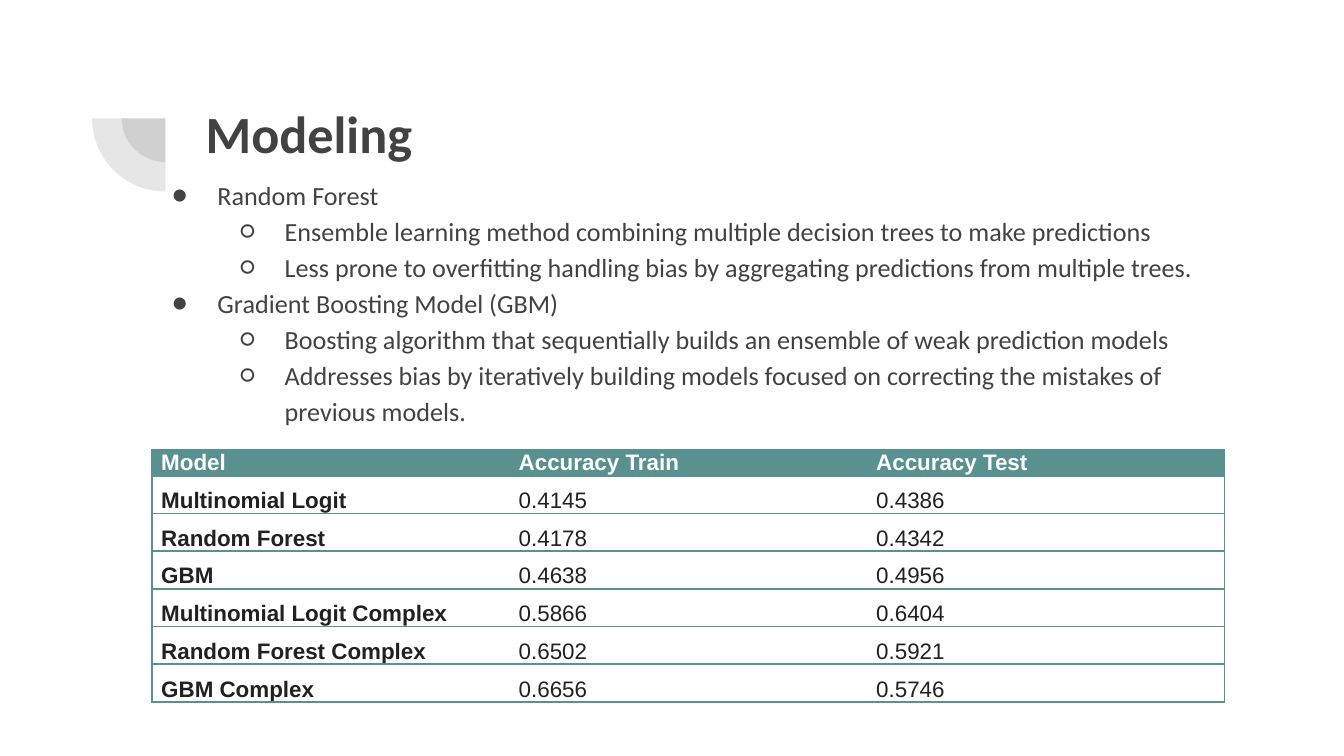
import pptx
import pptx.dml.color
import pptx.enum.shapes
import pptx.enum.text
import pptx.oxml.ns
import pptx.util
from lxml import etree

Inches = pptx.util.Inches
Pt = pptx.util.Pt

GREY, TEAL, WHITE, BLACK = "424242", "599191", "FFFFFF", "212121"

TITLE = "Modeling"
BULLETS = [
    (0, "Random Forest"),
    (1, "Ensemble learning method combining multiple decision trees to make predictions"),
    (1, "Less prone to overfitting handling bias by aggregating predictions from multiple trees."),
    (0, "Gradient Boosting Model (GBM)"),
    (1, "Boosting algorithm that sequentially builds an ensemble of weak prediction models"),
    (1, "Addresses bias by iteratively building models focused on correcting the mistakes of previous models."),
]
BULLET_STYLES = [("●", 0.5, 0.34), ("○", 1, 0.33)]
ACCURACY = [
    ("Model", "Accuracy Train", "Accuracy Test"),
    ("Multinomial Logit", "0.4145", "0.4386"),
    ("Random Forest", "0.4178", "0.4342"),
    ("GBM", "0.4638", "0.4956"),
    ("Multinomial Logit Complex", "0.5866", "0.6404"),
    ("Random Forest Complex", "0.6502", "0.5921"),
    ("GBM Complex", "0.6656", "0.5746"),
]
SLIDE_WIDTH = 10
SLIDE_HEIGHT = SLIDE_WIDTH * 9 / 16
HEADER_HEIGHT, ROW_HEIGHT, COLUMN_WIDTH = 0.19, 0.28, 2.66
PIE_CENTER = (1.23, 0.88)
PIE_DIAMETERS = [0.65, 1.09]


def set_values(target, values):
    for name, value in values.items():
        setattr(target, name, value)


def color(hex_value):
    return pptx.dml.color.RGBColor.from_string(hex_value)


def add_element(parent, tag, **attributes):
    element = etree.SubElement(parent, pptx.oxml.ns.qn(tag))
    for name, value in attributes.items():
        element.set(name, str(value))
    return element


def write_run(paragraph, text, font_name, size, hex_value, bold=False):
    run = paragraph.add_run()
    run.text = text
    set_values(run.font, {"name": font_name, "size": Pt(size), "bold": bold})
    run.font.color.rgb = color(hex_value)


def format_frame(frame):
    margins = ("margin_left", "margin_top", "margin_right", "margin_bottom")
    set_values(frame, dict.fromkeys(margins, Inches(0.1)))
    set_values(frame, {
        "word_wrap": True,
        "auto_size": pptx.enum.text.MSO_AUTO_SIZE.NONE,
        "vertical_anchor": pptx.enum.text.MSO_ANCHOR.TOP,
    })


def add_pie(slide, diameter):
    left, top = (Inches(center - diameter / 2) for center in PIE_CENTER)
    pie = slide.shapes.add_shape(
        pptx.enum.shapes.MSO_SHAPE.PIE, left, top, Inches(diameter), Inches(diameter))
    pie.adjustments[0], pie.adjustments[1] = 108, 162
    pie.rotation = 270
    pie.shadow.inherit = False
    pie.line.fill.background()
    pie.fill.solid()
    pie.fill.fore_color.rgb = color(GREY)
    shade = pie.element.spPr.find(".//" + pptx.oxml.ns.qn("a:srgbClr"))
    add_element(shade, "a:alpha", val=13000)


def add_title(slide):
    title = slide.shapes.title
    set_values(title, {"left": Inches(1.43), "top": Inches(0.65),
                       "width": Inches(7.69), "height": Inches(1.09)})
    format_frame(title.text_frame)
    paragraph = title.text_frame.paragraphs[0]
    paragraph.alignment = pptx.enum.text.PP_ALIGN.LEFT
    write_run(paragraph, TITLE, "Calibri", 28, GREY, True)


def add_bullets(slide):
    box = slide.shapes.add_textbox(Inches(1.02), Inches(1.2), Inches(8.44), Inches(2.03))
    format_frame(box.text_frame)
    for index, (level, text) in enumerate(BULLETS):
        paragraph = box.text_frame.add_paragraph() if index else box.text_frame.paragraphs[0]
        set_values(paragraph, {"level": level, "line_spacing": 1.15})
        symbol, indent, hanging = BULLET_STYLES[level]
        properties = paragraph._p.get_or_add_pPr()
        properties.set("marL", str(Inches(indent)))
        properties.set("indent", str(-Inches(hanging)))
        bullet_color = add_element(properties, "a:buClr")
        add_element(bullet_color, "a:srgbClr", val=GREY)
        add_element(properties, "a:buFont", typeface="Calibri")
        add_element(properties, "a:buChar", char=symbol)
        write_run(paragraph, text, "Calibri", 14, GREY)


def set_borders(cell, visible_sides):
    properties = cell._tc.get_or_add_tcPr()
    for side in "LRTB":
        line = add_element(properties, "a:ln" + side, w=Pt(1))
        if side in visible_sides:
            add_element(add_element(line, "a:solidFill"), "a:srgbClr", val=TEAL)
        else:
            add_element(line, "a:noFill")


def add_accuracy_table(slide):
    row_count, column_count = len(ACCURACY), len(ACCURACY[0])
    height = HEADER_HEIGHT + ROW_HEIGHT * (row_count - 1)
    table = slide.shapes.add_table(
        row_count, column_count, Inches(1.13), Inches(3.35),
        Inches(COLUMN_WIDTH * column_count), Inches(height)).table
    for column in table.columns:
        column.width = Inches(COLUMN_WIDTH)
    for row_index, values in enumerate(ACCURACY):
        header = row_index == 0
        table.rows[row_index].height = Inches(HEADER_HEIGHT if header else ROW_HEIGHT)
        for column_index, text in enumerate(values):
            cell = table.cell(row_index, column_index)
            set_values(cell, {"margin_left": Inches(0.07), "margin_right": Inches(0.07),
                              "margin_top": 0, "margin_bottom": 0})
            outer = {0: "L", column_count - 1: "R"}.get(column_index, "")
            set_borders(cell, "TB" + outer)
            cell.fill.solid()
            cell.fill.fore_color.rgb = color(TEAL if header else WHITE)
            paragraph = cell.text_frame.paragraphs[0]
            paragraph.line_spacing = 1.0 if header else 1.5
            write_run(paragraph, text, "Arial", 12, WHITE if header else BLACK,
                      header or column_index == 0)


def main():
    presentation = pptx.Presentation()
    set_values(presentation, {"slide_width": Inches(SLIDE_WIDTH),
                              "slide_height": Inches(SLIDE_HEIGHT)})
    slide = presentation.slides.add_slide(presentation.slide_layouts[5])
    for diameter in PIE_DIAMETERS:
        add_pie(slide, diameter)
    add_title(slide)
    add_bullets(slide)
    add_accuracy_table(slide)
    presentation.save("out.pptx")


if __name__ == "__main__":
    main()
